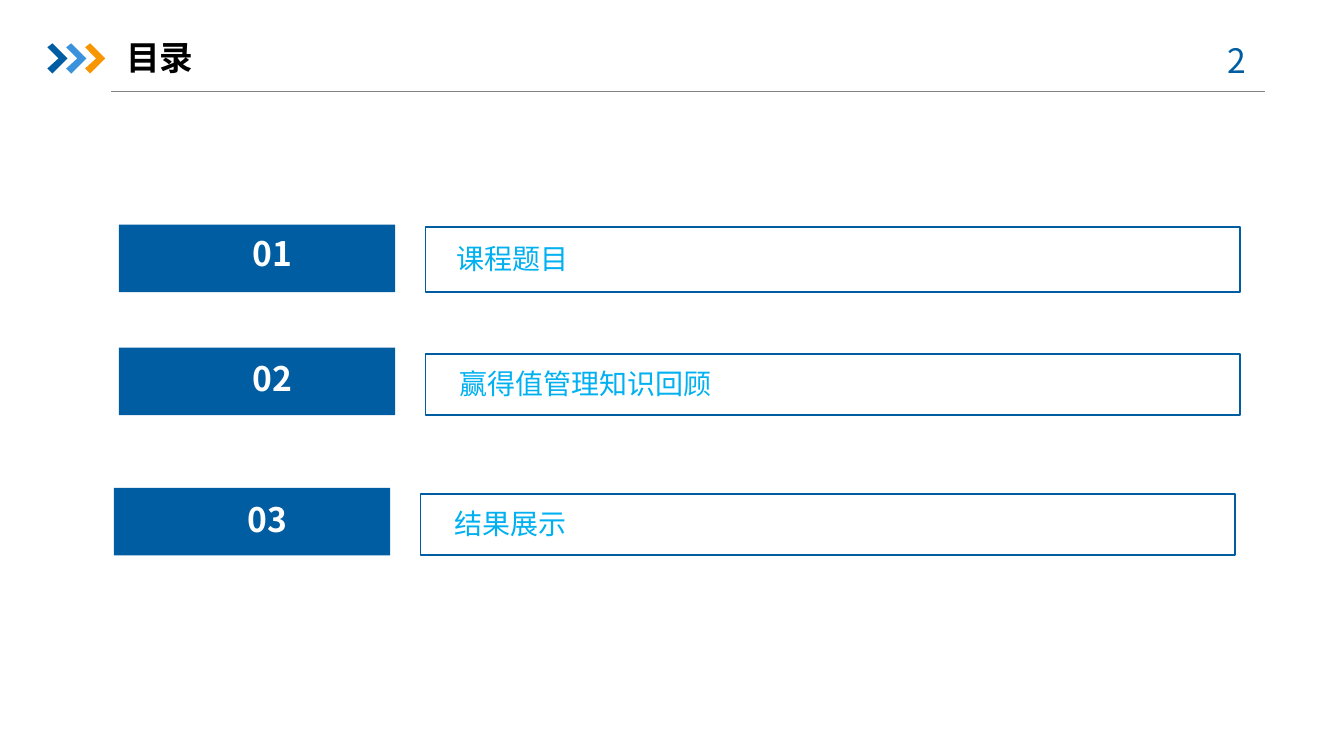
"""Builds the contents slide with three numbered sections."""
from lxml.etree import SubElement
from pptx import Presentation
from pptx.dml.color import RGBColor
from pptx.enum.shapes import MSO_CONNECTOR, MSO_SHAPE
from pptx.enum.text import MSO_ANCHOR, PP_ALIGN
from pptx.oxml.ns import qn
from pptx.util import Inches, Pt

BLUE, SKY, ORANGE, CYAN = "005DA2", "3992DB", "F79600", "00B0F0"


def color(code):
    return RGBColor.from_string(code)


class ContentsSlide:
    font = "Noto Sans CJK SC"

    def __init__(self, slide):
        self.shapes = slide.shapes

    def rule(self, left, right, y):
        divider = self.shapes.add_connector(
            MSO_CONNECTOR.STRAIGHT, Inches(left), Inches(y), Inches(right), Inches(y))
        divider.line.color.rgb = color("808080")
        divider.line.width = Pt(0.75)
        SubElement(divider._element.spPr, qn("a:effectLst"))

    def chevron(self, left, fill):
        outline = [(0, 0.04), (0.05, 0), (0.2, 0.15), (0.05, 0.3), (0, 0.25), (0.11, 0.15)]
        points = [(Inches(left + x), Inches(0.43 + y)) for x, y in outline]
        builder = self.shapes.build_freeform(*points[0])
        builder.add_line_segments(points[1:], close=True)
        self.paint(builder.convert_to_shape(), fill=fill)

    def box(self, left, top, width, height, fill=None, line=None):
        block = self.shapes.add_shape(
            MSO_SHAPE.RECTANGLE, Inches(left), Inches(top), Inches(width), Inches(height))
        self.paint(block, fill, line)

    def paint(self, shape, fill=None, line=None):
        shape.shadow.inherit = False
        if fill:
            shape.fill.solid()
            shape.fill.fore_color.rgb = color(fill)
        else:
            shape.fill.background()
        if line:
            shape.line.color.rgb = color(line)
            shape.line.width = Pt(1.25)
        else:
            shape.line.fill.background()

    def text(self, words, left, top, width, height, ink, size=24, bold=False,
             align=PP_ALIGN.LEFT, anchor=MSO_ANCHOR.TOP, side_inset=0.1):
        frame = self.shapes.add_textbox(
            Inches(left), Inches(top), Inches(width), Inches(height)).text_frame
        frame.word_wrap = True
        frame.vertical_anchor = anchor
        frame.margin_left = frame.margin_right = Inches(side_inset)
        frame.text = words
        paragraph = frame.paragraphs[0]
        paragraph.alignment = align
        run = paragraph.runs[0]
        run.font.size = Pt(size)
        run.font.bold = bold
        run.font.color.rgb = color(ink)
        run.font.name = self.font
        SubElement(run.font._element, qn("a:ea")).set("typeface", self.font)

    def section(self, number, topic, left, top, number_top, topic_left, topic_top, frame_top):
        bottom = top + 0.67
        self.box(left, top, 2.74, 0.67, fill=BLUE)
        self.text(number, left + 0.22, number_top, 2.61, 0.5, "FFFFFF",
                  bold=True, align=PP_ALIGN.CENTER)
        self.text(topic, topic_left, topic_top, 7.34, 0.44, CYAN, size=20)
        self.box(left + 3.04, frame_top, 8.08, bottom - frame_top, line=BLUE)


def main():
    deck = Presentation()
    deck.slide_width, deck.slide_height = Inches(13.33), Inches(7.5)
    contents = ContentsSlide(deck.slides.add_slide(deck.slide_layouts[6]))

    contents.rule(1.1, 12.55, 0.91)
    for step, fill in enumerate((BLUE, SKY, ORANGE)):
        contents.chevron(0.47 + 0.187 * step, fill)
    contents.text("2 ", 11.81, 0.35, 0.98, 0.5, BLUE, align=PP_ALIGN.CENTER)
    contents.text("目录", 1.25, 0.29, 5.52, 0.55, "000000", bold=True,
                  anchor=MSO_ANCHOR.MIDDLE, side_inset=0)

    sections = [
        ("01", "课程题目", 1.18, 2.23, 2.26, 4.43, 2.35, 2.25),
        ("02", "赢得值管理知识回顾", 1.18, 3.45, 3.5, 4.46, 3.59, 3.51),
        ("03", "结果展示", 1.13, 4.84, 4.9, 4.41, 4.98, 4.9),
    ]
    for entry in sections:
        contents.section(*entry)

    deck.save("out.pptx")


if __name__ == "__main__":
    main()
